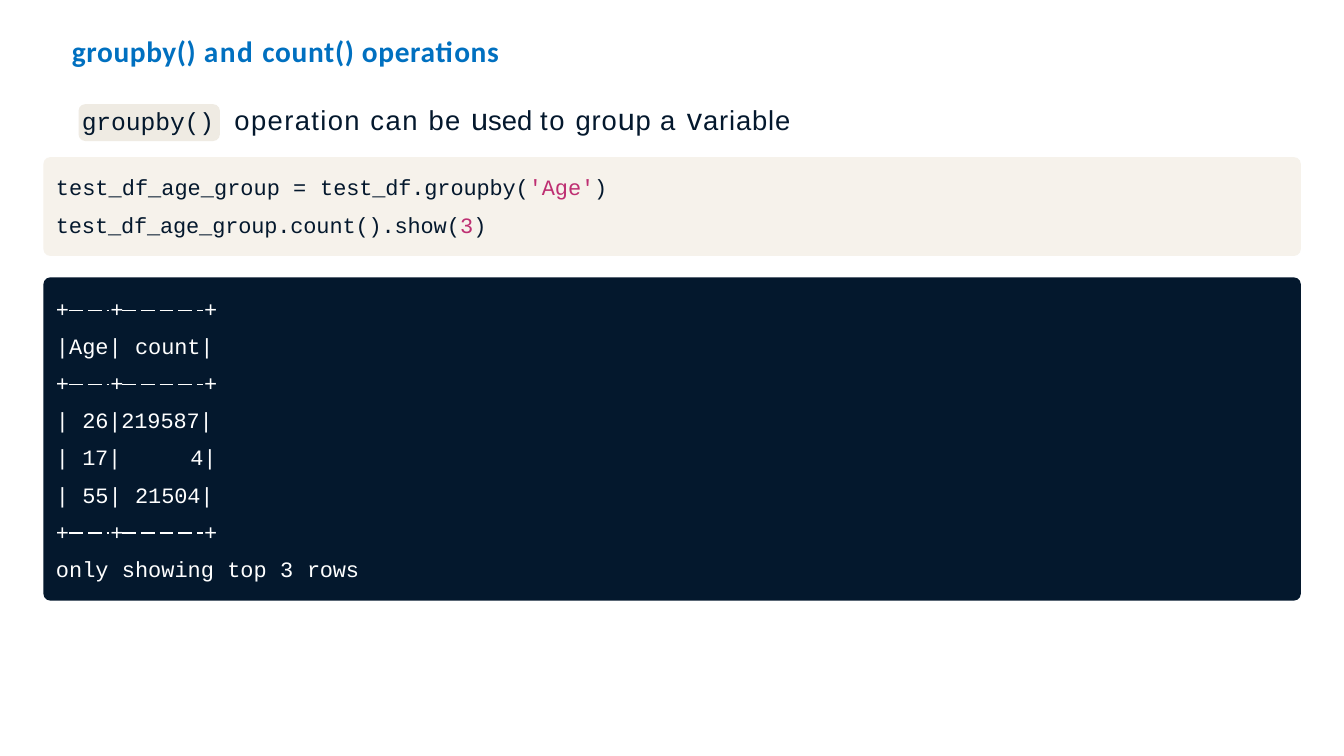
from lxml.etree import SubElement
from pptx import Presentation
from pptx.dml.color import RGBColor as RGB
from pptx.enum.dml import MSO_LINE as Dash
from pptx.enum.shapes import MSO_SHAPE as Shape
from pptx.oxml.ns import qn
from pptx.util import Cm, Pt

COLORS = {"blue": "0070C0", "navy": "04182D", "cream": "F6F2EB",
          "tag": "EFEBE3", "pink": "BE2F72", "white": "FFFFFF", "rule": "FEFEFE"}

deck = Presentation()
deck.slide_width, deck.slide_height = Cm(45.16), Cm(25.4)
slide = deck.slides.add_slide(deck.slide_layouts[6])


def add_text(left, top, width, height, lines, font, color, gap, spacing=None, inset=0.05):
    """Each line is a list of runs: (text, letter spacing, changes to the font)."""
    frame = slide.shapes.add_textbox(Cm(left), Cm(top), Cm(width), Cm(height)).text_frame
    frame_format = {"word_wrap": True, "margin_left": Cm(0.03), "margin_top": Cm(inset),
                    "margin_right": 0, "margin_bottom": 0}
    for name, value in frame_format.items():
        setattr(frame, name, value)
    for number, runs in enumerate(lines):
        line = frame.add_paragraph() if number else frame.paragraphs[0]
        line.space_before = Pt(gap)
        if spacing:
            line.line_spacing = spacing
        for text, tracking, *changes in runs:
            run = line.add_run()
            run.text = text
            style = {**font, **(changes[0] if changes else {})}
            run.font.color.rgb = RGB.from_string(COLORS[style.pop("color", color)])
            for name, value in style.items():
                setattr(run.font, name, value)
            run.font._element.set("spc", str(round(tracking * 100)))
    return frame


def add_tabs(line, stops):
    tab_list = SubElement(line._p.get_or_add_pPr(), qn("a:tabLst"))
    for stop in stops:
        SubElement(tab_list, qn("a:tab"), pos=str(Cm(stop)), algn="l")


# Title
add_text(2.39, 1.07, 42.4, 1.24,
         [[("groupby() ", 0.6), ("and ", 1.4), ("count() operations", 0.65)]],
         {"name": "Calibri", "size": Pt(28), "bold": True}, "blue", 1.2)

# Rounded panels: code, output, inline code tag
for left, top, width, height, color in [(1.46, 5.28, 42.25, 3.32, "cream"),
                                        (1.46, 9.32, 42.25, 10.86, "navy"),
                                        (2.64, 3.5, 4.75, 1.24, "tag")]:
    panel = slide.shapes.add_shape(Shape.ROUNDED_RECTANGLE,
                                   Cm(left), Cm(top), Cm(width), Cm(height))
    panel.adjustments[0] = 0.23 / height
    panel.shadow.inherit = False
    panel.fill.solid()
    panel.fill.fore_color.rgb = RGB.from_string(COLORS[color])
    panel.line.fill.background()

# Dashed rules of the output table, one outline with strokes on rows 0, 2 and 6
strokes = [(start, end, 10.43 + 1.245 * row)
           for row in (0, 2, 6) for start, end in [(2.33, 3.68), (4.11, 6.81)]]
rules = slide.shapes.build_freeform(Cm(strokes[0][0]), Cm(strokes[0][2]))
for number, (start, end, y) in enumerate(strokes):
    if number:
        rules.move_to(Cm(start), Cm(y))
    rules.add_line_segments([(Cm(end), Cm(y))], close=False)
table_rules = rules.convert_to_shape()
table_rules.shadow.inherit = False
table_rules.fill.background()
table_rules.line.color.rgb = RGB.from_string(COLORS["rule"])
table_rules.line.width = Pt(1.62)
table_rules.line.dash_style = Dash.LONG_DASH

# Statement
add_text(2.72, 3.5, 4.57, 1.04, [[("groupby()", -0.1)]],
         {"name": "Courier New", "size": Pt(23.5)}, "navy", 1.1)
large = {"size": Pt(29.2)}
add_text(7.85, 3.3, 18.85, 1.3,
         [[("operation ", 1.3), ("can ", 1.5), ("be ", 1.4), ("u", 0, large), ("sed ", 0),
           ("to ", 1.6), ("gro", 0.8), ("u", 0.8, large), ("p ", 0.8), ("a ", 1.8),
           ("v", 0.8, large), ("ariable", 0.8)]],
         {"name": "Arial", "size": Pt(26.1)}, "navy", 1.1)

# Code
mono = {"name": "Courier New", "size": Pt(20.9)}
literal = {"color": "pink"}
add_text(1.85, 5.43, 18.9, 2.46,
         [[("test_df_age_group = ", 0.05), ("test_df.groupby(", -0.1),
           ("'Age'", -0.1, literal), (")", -0.1)],
          [("test_df_age_group.count().show(", -0.1), ("3", -0.1, literal), (")", -0.1)]],
         mono, "navy", 1, spacing=1.41, inset=0.03)

# Output
border = [("+\t+\t+", -0.5)]
output = add_text(1.85, 9.52, 10.39, 10.03,
                  [border,
                   [("|Age| ", 0.05), ("count|", -0.1)],
                   border,
                   [("| ", 0.05), ("26|219587|", -0.1)],
                   [("| ", 0.05), ("17|\t4|", -0.3)],
                   [("| 55| ", 0.05), ("21504|", -0.1)],
                   border,
                   [("only showing top 3 ", 0.05), ("rows", -0.2)]],
                  mono, "white", 10.3, inset=0.41)
output.paragraphs[0].space_before = Pt(11.2)
for row, stops in {0: (1.83, 4.98), 2: (1.83, 4.98), 4: (4.52,), 6: (1.83, 4.98)}.items():
    add_tabs(output.paragraphs[row], stops)

deck.save("out.pptx")
